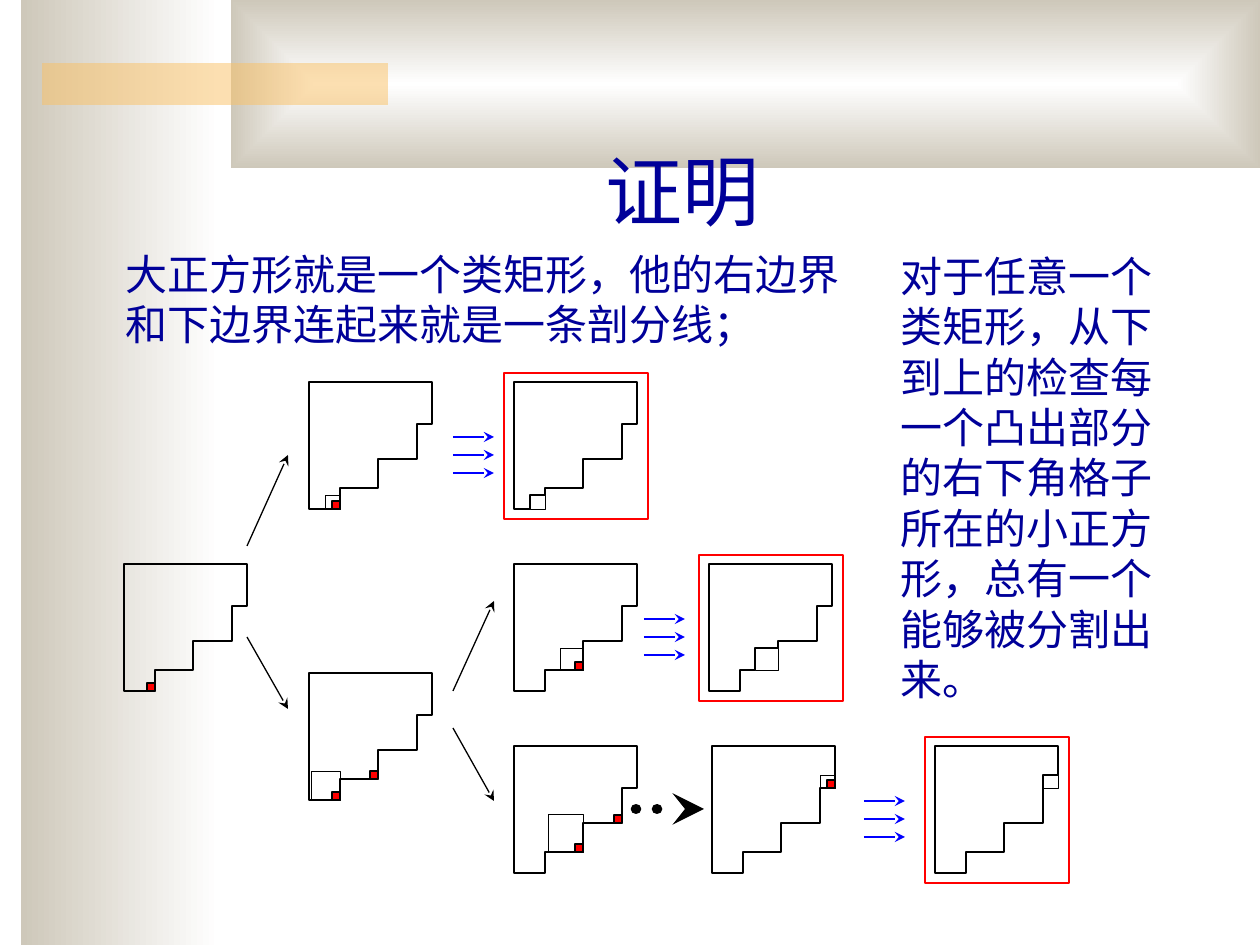
from pptx import Presentation
from pptx import util as u
from pptx.dml.color import RGBColor
from pptx.enum import dml, shapes, text
from pptx.oxml.ns import qn
from lxml import etree

SCALE = u.Inches(1) / 126  # EMU per px
FONT = "Comic Neue"
BLACK = RGBColor(0x00, 0x00, 0x00)
WHITE = RGBColor(0xFF, 0xFF, 0xFF)
RED = RGBColor(0xFF, 0x00, 0x00)
BLUE = RGBColor(0x00, 0x00, 0xFF)
NAVY = RGBColor(0x00, 0x00, 0x99)
SAND = RGBColor(0xCE, 0xC8, 0xBA)
ORANGE = RGBColor(0xFA, 0xC1, 0x64)

# Staircase: lower right corners of its steps, from bottom to top
WIDTH, HEIGHT = 123, 127
CORNERS = [(31, 127), (69, 106), (108, 77), (123, 42)]
CELL = 8

# left, top, corners with a red cell, square (corner, width, height), square cut off
FIGURES = [
    (124, 564, [0], None, False),
    (309, 382, [0], (0, 15, 14), False),
    (514, 382, [], (0, 15, 14), True),
    (309, 673, [0, 1], (0, 29, 29), False),
    (514, 564, [1], (1, 23, 22), False),
    (709, 564, [], (1, 23, 22), True),
    (514, 746, [1, 2], (1, 35, 38), False),
    (712, 746, [3], (3, 15, 13), False),
    (935, 746, [], (3, 15, 13), True),
]
BRANCHES = [(247, 546, 288, 455), (247, 637, 288, 709),
            (453, 691, 494, 601), (453, 728, 494, 801)]
TRIPLES = [(453, 437), (644, 619), (864, 801)]


def px(*lengths):
    return [u.Emu(round(length * SCALE)) for length in lengths]


def add_rect(page, left, top, width, height, fill=None, line=None, points=0.75):
    box = page.shapes.add_shape(shapes.MSO_SHAPE.RECTANGLE, *px(left, top, width, height))
    style(box, fill, line, points)
    return box


def style(shape, fill, line, points):
    shape.shadow.inherit = False
    if fill is None:
        shape.fill.background()
    else:
        shape.fill.solid()
        shape.fill.fore_color.rgb = fill
    if line is None:
        shape.line.fill.background()
    else:
        shape.line.color.rgb = line
        shape.line.width = u.Pt(points)


def add_gradient(box, from_center=False):
    box.fill.gradient()
    box.fill.gradient_angle = 180
    for stop, color in zip(box.fill.gradient_stops, (WHITE, SAND)):
        stop.color.rgb = color
    if from_center:
        linear = box.element.spPr.find(".//" + qn("a:lin"))
        shade = etree.Element(qn("a:path"), path="rect")
        etree.SubElement(shade, qn("a:fillToRect"), l="50000", t="50000", r="50000", b="50000")
        linear.getparent().replace(linear, shade)


def add_arrow(page, ends, color=BLACK, points=0.75, dotted=False):
    arrow = page.shapes.add_connector(shapes.MSO_CONNECTOR.STRAIGHT, *px(*ends))
    arrow.line.color.rgb = color
    arrow.line.width = u.Pt(points)
    outline = arrow.line._get_or_add_ln()
    if dotted:
        arrow.line.dash_style = dml.MSO_LINE.ROUND_DOT
        outline.set("cap", "rnd")
    etree.SubElement(outline, qn("a:tailEnd"), type="stealth")
    etree.SubElement(arrow.element.spPr, qn("a:effectLst"))


def add_figure(page, left, top, cells, square, cut):
    if cut:
        add_rect(page, left - 10, top - 9, 144, 146, line=RED)

    # Outline, walked from the bottom step up, then round the top
    points = [(0, HEIGHT)]
    floor = HEIGHT
    for index, (x, y) in enumerate(CORNERS):
        if cut and square[0] == index:
            _, width, height = square
            points += [(x - width, y), (x - width, y - height), (x, y - height)]
        else:
            points.append((x, y))
        floor = CORNERS[index + 1][1] if index + 1 < len(CORNERS) else 0
        points.append((x, floor))
    points.append((0, 0))
    points = [(left + x, top + y) for x, y in points]
    builder = page.shapes.build_freeform(*points[0], scale=SCALE)
    builder.add_line_segments(points[1:], close=True)
    style(builder.convert_to_shape(), None, BLACK, 0.75)

    # Square and red cells share the lower right corner of a step
    if square:
        index, width, height = square
        x, y = CORNERS[index]
        add_rect(page, left + x - width, top + y - height, width, height, line=BLACK, points=0.25)
    for index in cells:
        x, y = CORNERS[index]
        add_rect(page, left + x - CELL, top + y - CELL, CELL, CELL, RED, BLACK)


def write(frame, words, size):
    frame.word_wrap = True
    frame.auto_size = text.MSO_AUTO_SIZE.NONE
    para = frame.paragraphs[0]
    para.text = words
    para.font.name = FONT
    para.font.size = u.Pt(size)
    para.font.color.rgb = NAVY
    return para


def add_text(page, left, top, width, height, words):
    box = page.shapes.add_textbox(*px(left, top, width, height))
    write(box.text_frame, words, 24).space_before = u.Pt(15)


def add_title(page, words):
    title = page.shapes.title
    title.left, title.top, title.width, title.height = px(147, 116, 1071, 126)
    title.text_frame.vertical_anchor = text.MSO_ANCHOR.BOTTOM
    write(title.text_frame, words, 44).alignment = text.PP_ALIGN.CENTER
    page.shapes.element.append(title.element)  # in front of the header


def main():
    deck = Presentation()
    deck.slide_width, deck.slide_height = px(1260, 945)
    page = deck.slides.add_slide(deck.slide_layouts[5])

    # Background bands
    add_gradient(add_rect(page, 21, 0, 199, 945))
    add_gradient(add_rect(page, 231, 0, 1029, 168), from_center=True)
    accent = add_rect(page, 42, 63, 346, 42, ORANGE)
    color = accent.element.spPr.find(".//" + qn("a:srgbClr"))
    etree.SubElement(color, qn("a:alpha"), val="50000")

    # Proof tree
    for figure in FIGURES:
        add_figure(page, *figure)
    for ends in BRANCHES:
        add_arrow(page, ends)
    for left, top in TRIPLES:
        for y in range(top, top + 37, 18):
            add_arrow(page, (left, y, left + 41, y), BLUE)
    add_arrow(page, (636, 809, 704, 809), points=6, dotted=True)

    # Words
    add_title(page, "证明")
    add_text(page, 113, 242, 745, 122, "大正方形就是一个类矩形，他的右边界和下边界连起来就是一条剖分线；")
    add_text(page, 888, 244, 307, 486,
             "对于任意一个类矩形，从下到上的检查每一个凸出部分的右下角格子"
             "所在的小正方形，总有一个能够被分割出来。")

    deck.save("out.pptx")


if __name__ == "__main__":
    main()
